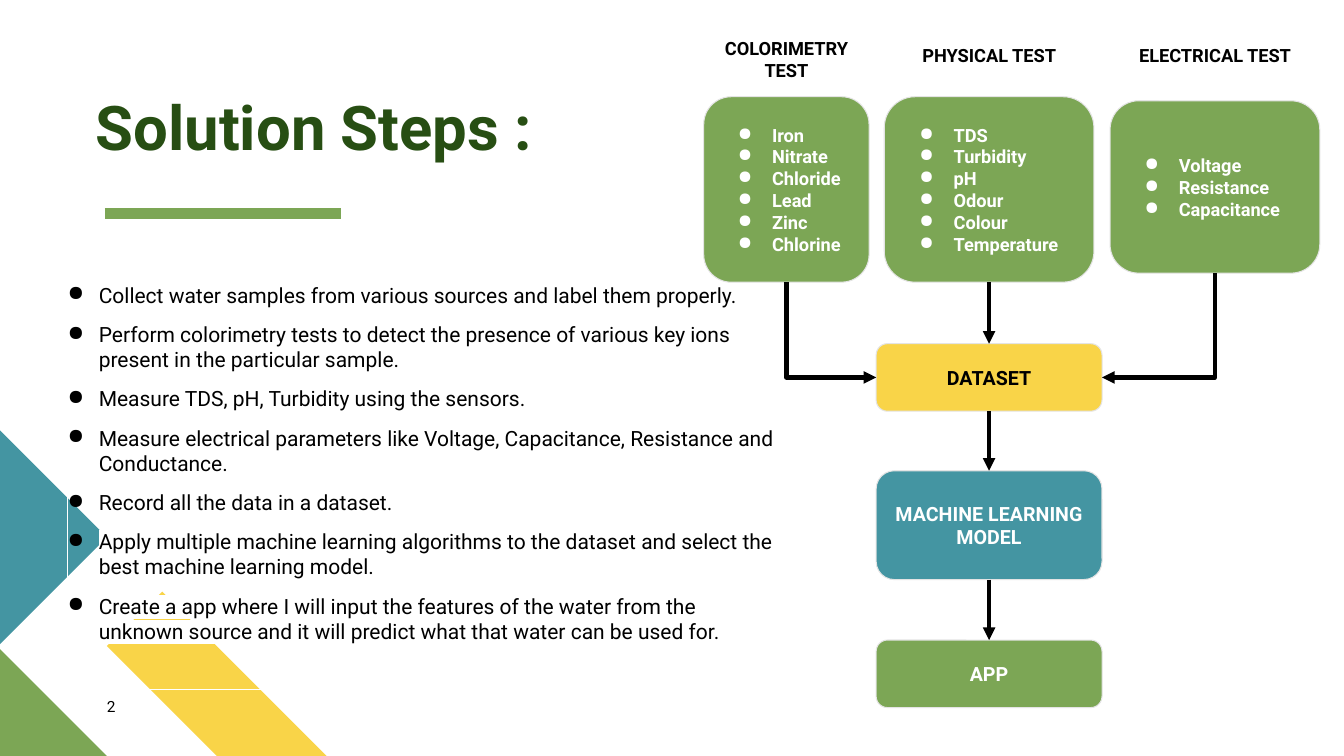
from lxml import etree
from pptx import Presentation
from pptx.dml.color import RGBColor
from pptx.enum.shapes import MSO_CONNECTOR, MSO_SHAPE
from pptx.enum.text import MSO_ANCHOR, PP_ALIGN
from pptx.oxml.ns import qn
from pptx.util import Pt

PX = 9144  # 100 px to the inch
FONT = "Roboto"
GREEN = RGBColor(0x7C, 0xA6, 0x55)
DARK = RGBColor(0x27, 0x4E, 0x13)
TEAL = RGBColor(0x44, 0x95, 0xA2)
YELLOW = RGBColor(0xF9, 0xD4, 0x48)
GREY = RGBColor(0xE4, 0xE4, 0xE4)
BLACK = RGBColor(0, 0, 0)
WHITE = RGBColor(0xFF, 0xFF, 0xFF)
LEFT, CENTER = PP_ALIGN.LEFT, PP_ALIGN.CENTER
TOP, MIDDLE, BOTTOM = MSO_ANCHOR.TOP, MSO_ANCHOR.MIDDLE, MSO_ANCHOR.BOTTOM
RECT, ROUND = MSO_SHAPE.RECTANGLE, MSO_SHAPE.ROUNDED_RECTANGLE
STRAIGHT, ELBOW = MSO_CONNECTOR.STRAIGHT, MSO_CONNECTOR.ELBOW
AT_TOP, AT_LEFT, AT_BOTTOM, AT_RIGHT = range(4)

STEPS = [
    "Collect water samples from various sources and label them properly.",
    "Perform colorimetry tests to detect the presence of various key ions present in the particular sample.",
    "Measure TDS, pH, Turbidity using the sensors.",
    "Measure electrical parameters like Voltage, Capacitance, Resistance and Conductance.",
    "Record all the data in a dataset.",
    "Apply multiple machine learning algorithms to the dataset and select the best machine learning model.",
    "Create a app where I will input the features of the water from the unknown source and it will predict what that water can be used for.",
]
# heading, heading left and top, box, items
TESTS = [
    ("COLORIMETRY TEST", 691, 27, (698, 96, 164, 184),
     ["Iron", "Nitrate", "Chloride", "Lead", "Zinc", "Chlorine"]),
    ("PHYSICAL TEST", 892, 34, (877, 96, 208, 184),
     ["TDS", "Turbidity", "pH", "Odour", "Colour", "Temperature"]),
    ("ELECTRICAL TEST", 1116, 34, (1101, 100, 208, 171),
     ["Voltage", "Resistance", "Capacitance"]),
]
# label, top, height, fill, text colour
STAGES = [
    ("DATASET", 341, 67, YELLOW, BLACK),
    ("MACHINE LEARNING MODEL", 467, 108, TEAL, WHITE),
    ("APP", 635, 67, GREEN, WHITE),
]


def emu(*sizes):
    return [size * PX for size in sizes]


def add_xml(parent, tag, **attrs):
    return etree.SubElement(parent, qn(tag), attrs)


def add_color(parent, tag, color):
    add_xml(add_xml(parent, tag), "a:srgbClr", val=str(color))


def write(shape, lines, size, color, bold=False, align=LEFT, anchor=TOP,
          inset=0, indent=None, before=None, spacing=None, mark=None):
    """Fill a shape with paragraphs; indent is (margin, hang) of the bullets."""
    frame = shape.text_frame
    frame.word_wrap = True
    frame.vertical_anchor = anchor
    frame.margin_left = frame.margin_right = inset * PX
    frame.margin_top = frame.margin_bottom = inset * PX
    for num, line in enumerate(lines):
        para = frame.add_paragraph() if num else frame.paragraphs[0]
        run = para.add_run()
        run.text = line
        if mark is not None:
            add_color(run._r.get_or_add_rPr(), "a:highlight", mark)
        if indent:
            props = para._p.get_or_add_pPr()
            margin, hang = emu(*indent)
            props.set("marL", str(margin))
            props.set("indent", str(-hang))
            add_color(props, "a:buClr", color)
            add_xml(props, "a:buChar", char="●")
        para.alignment = align
        if before:
            para.space_before = Pt(before)
        if spacing:
            para.line_spacing = spacing
        font = para.font
        font.name, font.size, font.bold = FONT, Pt(size), bold
        font.color.rgb = color


def add_label(slide, box, text, size, color, **style):
    write(slide.shapes.add_textbox(*emu(*box)), [text], size, color, **style)


def add_box(slide, kind, box, fill, edge):
    shape = slide.shapes.add_shape(kind, *emu(*box))
    shape.shadow.inherit = False
    if fill is None:
        shape.fill.background()
    else:
        shape.fill.solid()
        shape.fill.fore_color.rgb = fill
    shape.line.color.rgb = edge
    shape.line.width = Pt(0.75)
    return shape


def style_line(line, color, width, arrow=False):
    line.line.color.rgb = color
    line.line.width = Pt(width)
    props = line._element.spPr
    if arrow:
        add_xml(props.find(qn("a:ln")), "a:tailEnd", type="triangle")
    add_xml(props, "a:effectLst")


def join(slide, start, end):
    """Arrow straight down from one box to the next."""
    line = slide.shapes.add_connector(STRAIGHT, 0, 0, 0, 0)
    line.begin_connect(start, AT_BOTTOM)
    line.end_connect(end, AT_TOP)
    style_line(line, BLACK, 3, True)


def bend(slide, start, end, side):
    """Arrow down from a box, then across to a side of another."""
    line = slide.shapes.add_connector(ELBOW, 0, 0, 0, 0)
    line.begin_connect(start, AT_BOTTOM)
    line.end_connect(end, side)
    x1, y1 = start.left + start.width // 2, start.top + start.height
    x2 = end.left + (end.width if side == AT_RIGHT else 0)
    y2 = end.top + end.height // 2
    # a quarter turn swaps width and height about the centre
    wide, high = y2 - y1, abs(x2 - x1)
    line.left, line.top = (x1 + x2 - wide) // 2, (y1 + y2 - high) // 2
    line.width, line.height = wide, high
    props = line._element.spPr
    props.find(qn("a:prstGeom")).set("prst", "bentConnector2")
    frame = props.find(qn("a:xfrm"))
    for name in ("flipH", "flipV"):
        frame.attrib.pop(name, None)
    turn = 90 if side == AT_RIGHT else 270
    frame.set("rot", str(turn * 60000))
    if side == AT_LEFT:
        frame.set("flipH", "1")
    style_line(line, BLACK, 3, True)


def add_corner(slide, left, base):
    """Coloured outlines in the lower left corner."""
    outlines = [
        (YELLOW, [(324, 0), (215, 0), (106, -109), (161, -163)]),
        (GREEN, [(106, 0), (0, 0), (0, -106)]),
        (TEAL, [(0, -323), (106, -217), (0, -111)]),
    ]
    for color, points in outlines:
        spots = [(left + x, base + y) for x, y in points]
        pen = slide.shapes.build_freeform(*spots[0], scale=PX)
        pen.add_line_segments(spots[1:], close=True)
        shape = pen.convert_to_shape()
        shape.shadow.inherit = False
        shape.fill.solid()
        shape.fill.fore_color.rgb = color
        shape.line.fill.background()


def add_title(slide, left, top):
    rule = slide.shapes.add_connector(
        STRAIGHT, *emu(left + 9, top + 116, left + 243, top + 116))
    style_line(rule, GREEN, 8)
    add_label(slide, (left, top, 603, 67), "Solution Steps :", 44, DARK,
              bold=True, anchor=BOTTOM, spacing=0.9)


def add_steps(slide, box):
    write(add_box(slide, RECT, box, None, WHITE), STEPS, 15, BLACK,
          indent=(31, 31), before=10, mark=WHITE)


def add_tests(slide):
    boxes = []
    for head, left, top, box, items in TESTS:
        add_label(slide, (left, top, 178, 49), head, 13, BLACK,
                  bold=True, align=CENTER, inset=10)
        shape = add_box(slide, ROUND, box, GREEN, GREY)
        write(shape, items, 13, WHITE, bold=True, anchor=MIDDLE,
              inset=10, indent=(50, 34))
        boxes.append(shape)
    return boxes


def add_stages(slide, left, width):
    boxes = []
    for label, top, height, fill, color in STAGES:
        shape = add_box(slide, ROUND, (left, top, width, height), fill, GREY)
        write(shape, [label], 14, color, bold=True, align=CENTER,
              anchor=MIDDLE, inset=10)
        boxes.append(shape)
    return boxes


def add_flow(slide):
    color, body, power = add_tests(slide)
    stages = add_stages(slide, 869, 224)
    chain = [body, *stages]
    for start, end in zip(chain, chain[1:]):
        join(slide, start, end)
    bend(slide, power, stages[0], AT_RIGHT)
    bend(slide, color, stages[0], AT_LEFT)


def main():
    deck = Presentation()
    deck.slide_width, deck.slide_height = emu(1333, 750)
    slide = deck.slides.add_slide(deck.slide_layouts[6])
    add_corner(slide, 0, 750)
    add_title(slide, 95, 96)
    add_steps(slide, (67, 280, 705, 404))
    add_label(slide, (106, 692, 57, 27), "2", 11, BLACK)
    add_flow(slide)
    deck.save("out.pptx")


if __name__ == "__main__":
    main()
